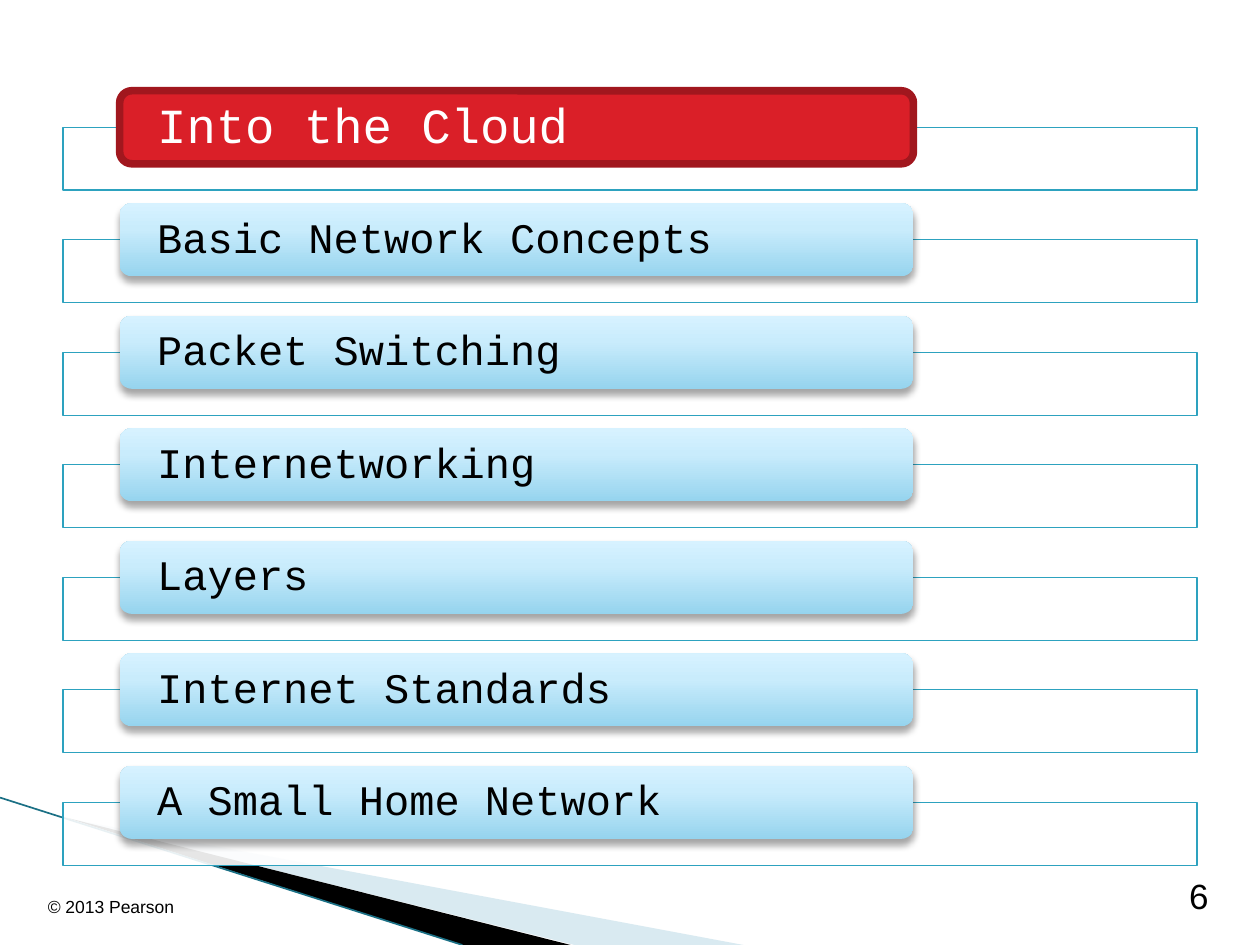
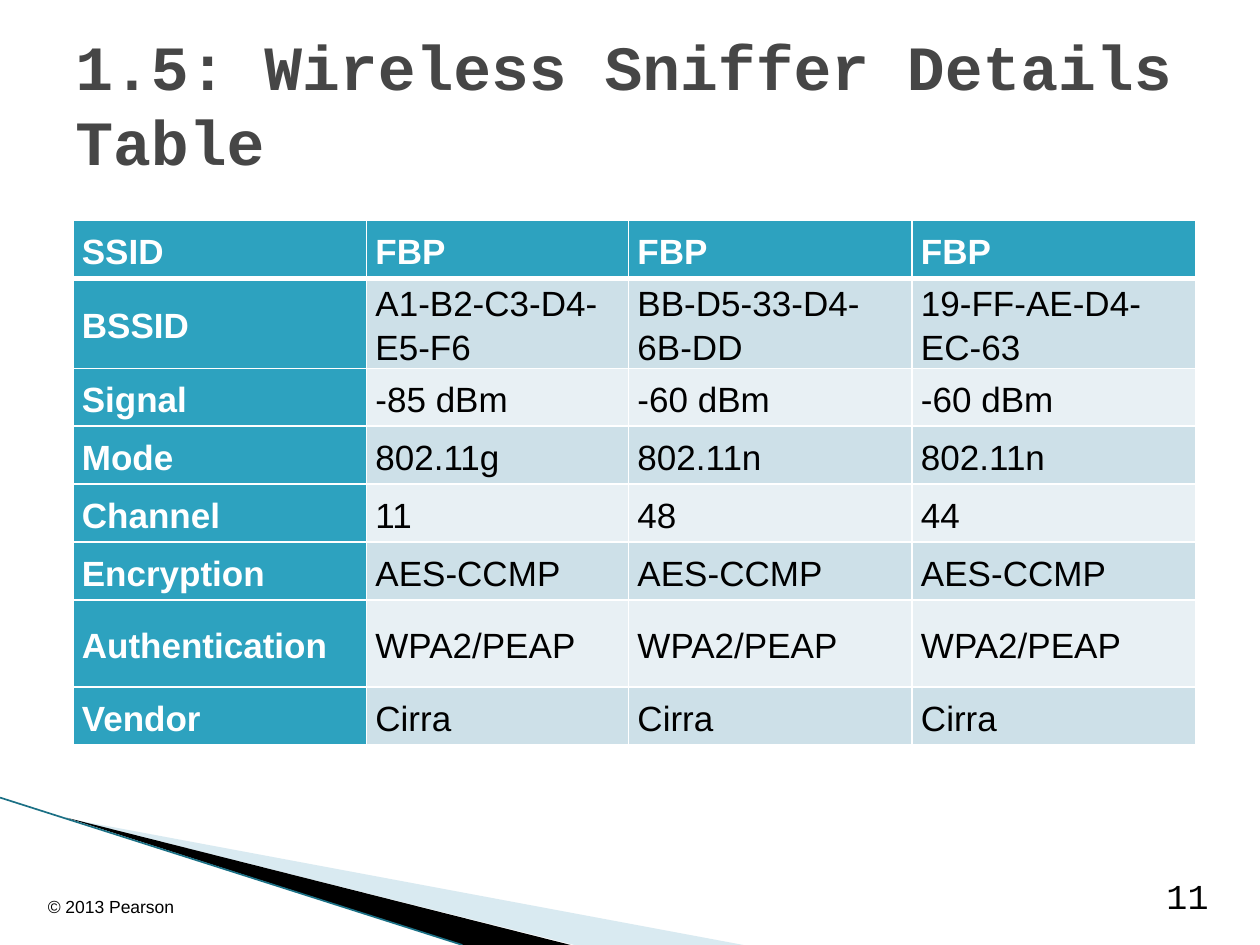
from copy import deepcopy

from lxml.etree import SubElement
from pptx import Presentation
from pptx.dml.color import RGBColor
from pptx.enum.shapes import MSO_CONNECTOR, MSO_SHAPE
from pptx.enum.text import MSO_ANCHOR, PP_ALIGN
from pptx.oxml.ns import qn
from pptx.util import Inches, Pt

WHITE = RGBColor(0xFF, 0xFF, 0xFF)
BLACK = RGBColor(0x00, 0x00, 0x00)
TITLE_GREY = RGBColor(0x46, 0x46, 0x46)
TEAL = RGBColor(0x2D, 0xA2, 0xBF)
DARK_TEAL = RGBColor(0x1B, 0x70, 0x85)
PALE_BLUE = RGBColor(0xA0, 0xCB, 0xDC)
RED = RGBColor(0xDA, 0x1F, 0x28)
DARK_RED = RGBColor(0xA1, 0x17, 0x1E)
BAND_DARK = RGBColor(0xCD, 0xE0, 0xE8)
BAND_LIGHT = RGBColor(0xE8, 0xF0, 0xF4)
CARD_GRADIENT = [
    (0, RGBColor(0x96, 0xD4, 0xEE)),
    (0.65, RGBColor(0xC9, 0xEC, 0xFC)),
    (1, RGBColor(0xD7, 0xF2, 0xFF)),
]

SANS = "Arial"
MONO = "Courier New"

TOPICS = [
    "Into the Cloud", "Basic Network Concepts", "Packet Switching",
    "Internetworking", "Layers", "Internet Standards", "A Small Home Network",
]
CURRENT_TOPIC = TOPICS[0]
TOPIC_PITCH = 0.893

SNIFFER_DETAILS = [
    ["SSID", "FBP", "FBP", "FBP"],
    ["BSSID", "A1-B2-C3-D4-E5-F6", "BB-D5-33-D4-6B-DD", "19-FF-AE-D4-EC-63"],
    ["Signal", "-85 dBm", "-60 dBm", "-60 dBm"],
    ["Mode", "802.11g", "802.11n", "802.11n"],
    ["Channel", "11", "48", "44"],
    ["Encryption"] + ["AES-CCMP"] * 3,
    ["Authentication"] + ["WPA2/PEAP"] * 3,
    ["Vendor"] + ["Cirra"] * 3,
]
COLUMN_WIDTHS = [2.33, 2.08, 2.25, 2.25]
ROW_HEIGHT, TALL_ROW_HEIGHT = 0.46, 0.69
TALL_ROWS = ("BSSID", "Authentication")


def set_opacity(shape, percent):
    color = shape._element.spPr.find(qn("a:solidFill"))[0]
    SubElement(color, qn("a:alpha"), val=str(percent * 1000))


def add_soft_shadow(shape):
    effects = shape._element.spPr.find(qn("a:effectLst"))
    shadow = SubElement(effects, qn("a:outerShdw"), blurRad=str(Pt(4)),
                        dist=str(Pt(3)), dir="5400000", rotWithShape="0")
    color = SubElement(shadow, qn("a:srgbClr"), val=str(BLACK))
    SubElement(color, qn("a:alpha"), val="35000")


def fill_card_gradient(shape):
    shape.fill.gradient()
    shape.fill.gradient_angle = 90
    stop_list = shape._element.spPr.find(".//" + qn("a:gsLst"))
    stop_list.append(deepcopy(stop_list[0]))
    for stop, (position, color) in zip(shape.fill.gradient_stops, CARD_GRADIENT):
        stop.position = position
        stop.color.rgb = color


def set_borders(cell, bottom_width):
    properties = cell._tc.get_or_add_tcPr()
    for side, width in (("L", 1), ("R", 1), ("T", 1), ("B", bottom_width)):
        border = SubElement(properties, qn("a:ln" + side), w=str(Pt(width)))
        fill = SubElement(border, qn("a:solidFill"))
        SubElement(fill, qn("a:srgbClr"), val=str(WHITE))


class Deck:
    """Holds the shared style and the slide being built."""

    def __init__(self):
        self.presentation = Presentation()
        self.presentation.slide_width = Inches(10)
        self.presentation.slide_height = Inches(7.5)
        self.slide = None

    def start_slide(self):
        blank = self.presentation.slide_layouts[6]
        self.slide = self.presentation.slides.add_slide(blank)
        pale_wedge = self.wedge([(0.55, 6.5), (5.9, 7.5), (4.56, 7.5)], PALE_BLUE)
        set_opacity(pale_wedge, 40)
        self.wedge([(0.53, 6.49), (4.53, 7.5), (3.67, 7.5)], BLACK)
        self.line((0, 6.33), (3.67, 7.5), DARK_TEAL, 0.95)

    def wedge(self, points, color):
        start, *others = [(Inches(x), Inches(y)) for x, y in points]
        builder = self.slide.shapes.build_freeform(*start)
        builder.add_line_segments(others)
        wedge = builder.convert_to_shape()
        wedge.shadow.inherit = False
        wedge.fill.solid()
        wedge.fill.fore_color.rgb = color
        wedge.line.fill.background()
        return wedge

    def line(self, start, end, color, width):
        line = self.slide.shapes.add_connector(
            MSO_CONNECTOR.STRAIGHT, *map(Inches, start + end))
        line.line.color.rgb = color
        line.line.width = Pt(width)
        SubElement(line._element.spPr, qn("a:effectLst"))

    def shape(self, kind, left, top, width, height):
        shape = self.slide.shapes.add_shape(
            kind, *map(Inches, (left, top, width, height)))
        shape.shadow.inherit = False
        return shape

    def set_text(self, frame, text, size, font, color, bold=False,
                 align=PP_ALIGN.LEFT, anchor=MSO_ANCHOR.MIDDLE):
        frame.word_wrap = True
        frame.vertical_anchor = anchor
        paragraph = frame.paragraphs[0]
        paragraph.text = text
        paragraph.alignment = align
        paragraph.font.size = Pt(size)
        paragraph.font.name = font
        paragraph.font.bold = bold
        paragraph.font.color.rgb = color
        return paragraph

    def text(self, left, top, width, height, *content, **style):
        box = self.slide.shapes.add_textbox(
            *map(Inches, (left, top, width, height)))
        self.set_text(box.text_frame, *content, **style)

    def title(self, text):
        self.text(0.5, 0.3, 9, 1.03, text, 36, MONO, TITLE_GREY, bold=True)

    def footer(self, number, number_font):
        self.text(8.75, 6.92, 0.94, 0.4, number, 20, number_font, BLACK,
                  align=PP_ALIGN.RIGHT, anchor=MSO_ANCHOR.BOTTOM)
        self.text(0.17, 6.93, 1.42, 0.4, "© 2013 Pearson", 10, SANS, BLACK,
                  align=PP_ALIGN.CENTER, anchor=MSO_ANCHOR.BOTTOM)

    def topic(self, text, top, current):
        """Draw a topic card over its wide frame; the current topic is red."""
        frame = self.shape(MSO_SHAPE.RECTANGLE, 0.5, top + 0.29, 9, 0.5)
        frame.fill.solid()
        frame.fill.fore_color.rgb = WHITE
        set_opacity(frame, 90)
        frame.line.color.rgb = TEAL
        frame.line.width = Pt(0.75)

        card = self.shape(MSO_SHAPE.ROUNDED_RECTANGLE, 0.95, top, 6.3, 0.58)
        if current:
            card.fill.solid()
            card.fill.fore_color.rgb = RED
            card.line.color.rgb = DARK_RED
            card.line.width = Pt(4.33)
        else:
            fill_card_gradient(card)
            card.line.fill.background()
            add_soft_shadow(card)
        label = card.text_frame
        label.margin_left = label.margin_right = Inches(0.27)
        label.margin_top = label.margin_bottom = 0
        size, color = (28, WHITE) if current else (24, BLACK)
        self.set_text(label, text, size, MONO, color).line_spacing = 0.9

    def table(self, left, top, rows):
        heights = [TALL_ROW_HEIGHT if row[0] in TALL_ROWS else ROW_HEIGHT
                   for row in rows]
        table = self.slide.shapes.add_table(
            len(rows), len(COLUMN_WIDTHS), Inches(left), Inches(top),
            Inches(sum(COLUMN_WIDTHS)), Inches(sum(heights))).table
        table.first_col = True
        for column, width in zip(table.columns, COLUMN_WIDTHS):
            column.width = Inches(width)
        for r, (values, height) in enumerate(zip(rows, heights)):
            table.rows[r].height = Inches(height)
            for c, value in enumerate(values):
                self.cell(table.cell(r, c), value, r, c)

    def cell(self, cell, value, row, column):
        is_header = row == 0 or column == 0
        set_borders(cell, 3 if row == 0 else 1)
        cell.fill.solid()
        band = BAND_DARK if row % 2 else BAND_LIGHT
        cell.fill.fore_color.rgb = TEAL if is_header else band
        cell.margin_left = cell.margin_right = Inches(0.07)
        cell.margin_top = cell.margin_bottom = 0
        cell.vertical_anchor = MSO_ANCHOR.MIDDLE
        paragraph = self.set_text(cell.text_frame, value, 20, SANS,
                                  WHITE if is_header else BLACK, bold=is_header)
        paragraph.line_spacing = 1.15
        paragraph.space_before = paragraph.space_after = Pt(3)


def add_topics_slide(deck):
    deck.start_slide()
    for i, topic in enumerate(TOPICS):
        deck.topic(topic, 0.72 + i * TOPIC_PITCH, topic == CURRENT_TOPIC)
    deck.footer("6", SANS)


def add_sniffer_slide(deck):
    deck.start_slide()
    deck.table(0.58, 1.75, SNIFFER_DETAILS)
    deck.title("1.5: Wireless Sniffer Details Table")
    deck.footer("11", MONO)


def main():
    deck = Deck()
    add_topics_slide(deck)
    add_sniffer_slide(deck)
    deck.presentation.save("out.pptx")


if __name__ == "__main__":
    main()
